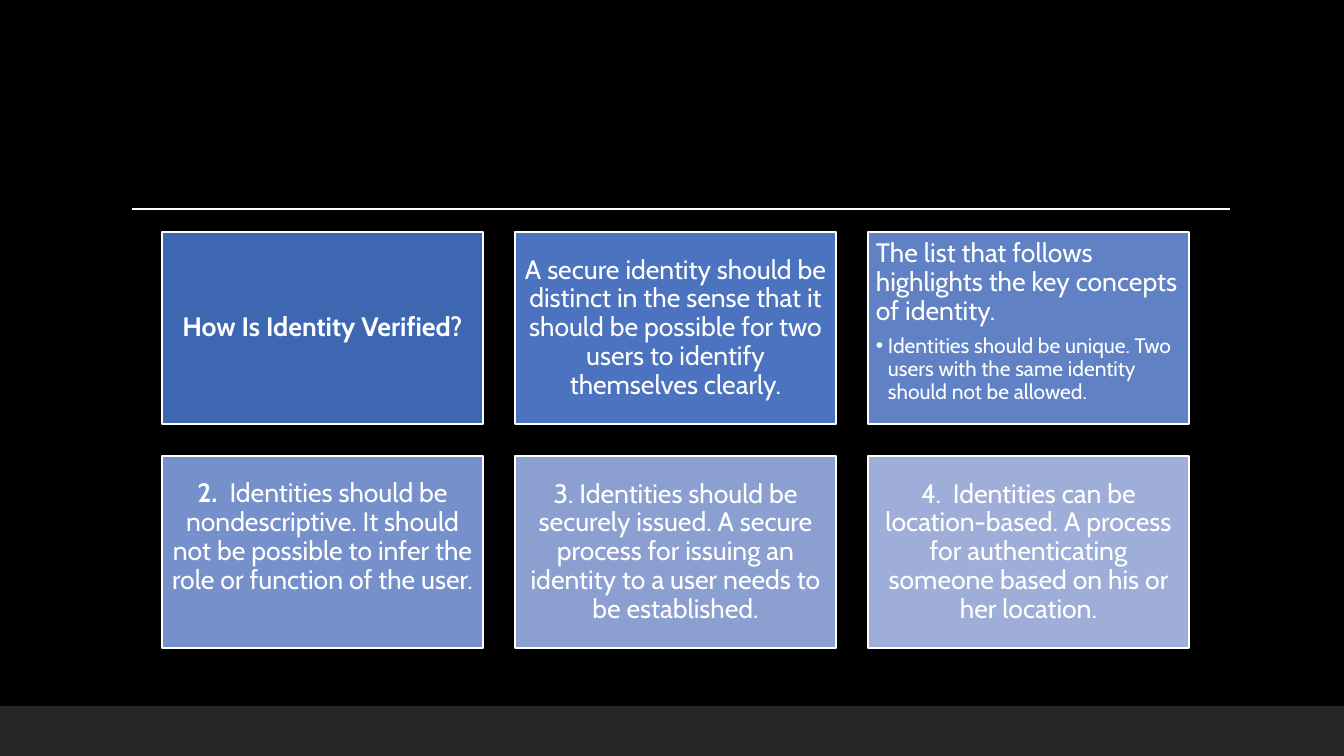
from lxml import etree
from pptx import Presentation
from pptx.dml.color import RGBColor
from pptx.enum.shapes import MSO_CONNECTOR as CONNECTOR, MSO_SHAPE as SHAPE
from pptx.enum.text import MSO_ANCHOR as ANCHOR, MSO_AUTO_SIZE as AUTO_SIZE, PP_ALIGN as ALIGN
from pptx.oxml.ns import qn
from pptx.util import Emu, Pt

PX_PER_INCH = 100.8
WHITE = "FFFFFF"
FONT = "Cabin"

# Card grid
COLUMNS = 3
GRID_LEFT, GRID_TOP = 162, 232
CARD_W, CARD_H = 321, 192
GAP = 32
INSET = 8

MARGINS = {
    "margin_left": px_inset,
    "margin_right": px_inset,
    "margin_top": px_inset,
    "margin_bottom": px_inset,
} if (px_inset := Emu(round(INSET * 914400 / PX_PER_INCH))) else {}

# Each card: fill and its statement as (text, bold) runs
CARDS = [
    ("3E67B2", [("How Is Identity Verified?", True)]),
    ("4C73BF", [("A secure identity should be distinct in the sense that it should be "
                 "possible for two users to identify themselves clearly.", False)]),
    ("6181C5", [("The list that follows highlights the key concepts of identity.", False)]),
    ("7690CB", [("2. ", True),
                (" Identities should be nondescriptive. It should not be possible to "
                 "infer the role or function of the user.", False)]),
    ("8B9FD1", [("3. Identities should be securely issued. A secure process for issuing "
                 "an identity to a user needs to be established.", False)]),
    ("9FAED8", [("4.  Identities can be location-based. A process for authenticating "
                 "someone based on his or her location.", False)]),
]
HEADING, CONCEPTS, NONDESCRIPTIVE = 0, 2, 3
UNIQUE_RULE = ("Identities should be unique. Two users with the same identity "
               "should not be allowed.")


def px(length):
    return Emu(round(length * 914400 / PX_PER_INCH))


def color(hex_string):
    return RGBColor.from_string(hex_string)


def apply(target, values):
    for name, value in values.items():
        setattr(target, name, value)


def paint(shape, fill, outline=None):
    shape.fill.solid()
    shape.fill.fore_color.rgb = color(fill)
    if outline:
        shape.line.color.rgb = color(outline)
        shape.line.width = Pt(1.25)
    else:
        shape.line.fill.background()


def add_box(slide, left, top, width, height):
    box = slide.shapes.add_shape(SHAPE.RECTANGLE, px(left), px(top), px(width), px(height))
    box.shadow.inherit = False
    return box


def add_rule(slide, left, right, y):
    rule = slide.shapes.add_connector(CONNECTOR.STRAIGHT, px(left), px(y), px(right), px(y))
    rule.line.color.rgb = color(WHITE)
    rule.line.width = Pt(1)
    etree.SubElement(rule._element.spPr, qn("a:effectLst"))


def write(paragraph, runs, size, align):
    apply(paragraph, {"alignment": align, "line_spacing": 0.9,
                      "space_before": Pt(0), "space_after": Pt(0)})
    for text, bold in runs:
        run = paragraph.add_run()
        run.text = text
        apply(run.font, {"name": FONT, "size": Pt(size), "bold": bold})
        run.font.color.rgb = color(WHITE)


def set_bullet(paragraph, indent=0, char=None):
    properties = paragraph._p.get_or_add_pPr()
    properties.set("marL", str(px(indent)))
    properties.set("indent", str(-px(indent)))
    if char:
        etree.SubElement(properties, qn("a:buChar")).set("char", char)
    else:
        etree.SubElement(properties, qn("a:buNone"))


def fill_card(card, index):
    row, column = divmod(index, COLUMNS)
    fill, statement = CARDS[index]
    apply(card, {"left": px(GRID_LEFT + column * (CARD_W + GAP)),
                 "top": px(GRID_TOP + row * (CARD_H + GAP)),
                 "width": px(CARD_W), "height": px(CARD_H)})
    paint(card, fill, WHITE)
    listed = index == CONCEPTS
    frame = card.text_frame
    apply(frame, MARGINS)
    apply(frame, {"word_wrap": True, "auto_size": AUTO_SIZE.NONE,
                  "vertical_anchor": ANCHOR.TOP if listed else ANCHOR.MIDDLE})
    lead = frame.paragraphs[0]
    write(lead, statement, 19, ALIGN.LEFT if listed else ALIGN.CENTER)
    set_bullet(lead)
    return frame


def add_concept(frame, text):
    frame.paragraphs[0].space_after = Pt(6.65)
    concept = frame.add_paragraph()
    concept.level = 1
    write(concept, [(text, False)], 15, ALIGN.LEFT)
    set_bullet(concept, 12, "•")


def main():
    prs = Presentation()
    apply(prs, {"slide_width": px(1344), "slide_height": px(756)})
    slide = prs.slides.add_slide(prs.slide_layouts[1])

    # Backdrop, rule and footer band
    slide.background.fill.solid()
    slide.background.fill.fore_color.rgb = color("000000")
    add_rule(slide, 132, 1230, 209)
    paint(add_box(slide, 0, 706, 1344, 50), "262626")

    # Cards: the heading and the list use the template's placeholders
    placeholders = {HEADING: slide.shapes.title, CONCEPTS: slide.placeholders[1]}
    for index in range(len(CARDS)):
        card = placeholders.get(index) or add_box(slide, 0, 0, CARD_W, CARD_H)
        frame = fill_card(card, index)
        if index == CONCEPTS:
            add_concept(frame, UNIQUE_RULE)
        elif index == NONDESCRIPTIVE:
            # Lifts four lines level with the five-line neighbours
            frame.margin_bottom = px(INSET + 29)

    prs.save("out.pptx")


if __name__ == "__main__":
    main()
